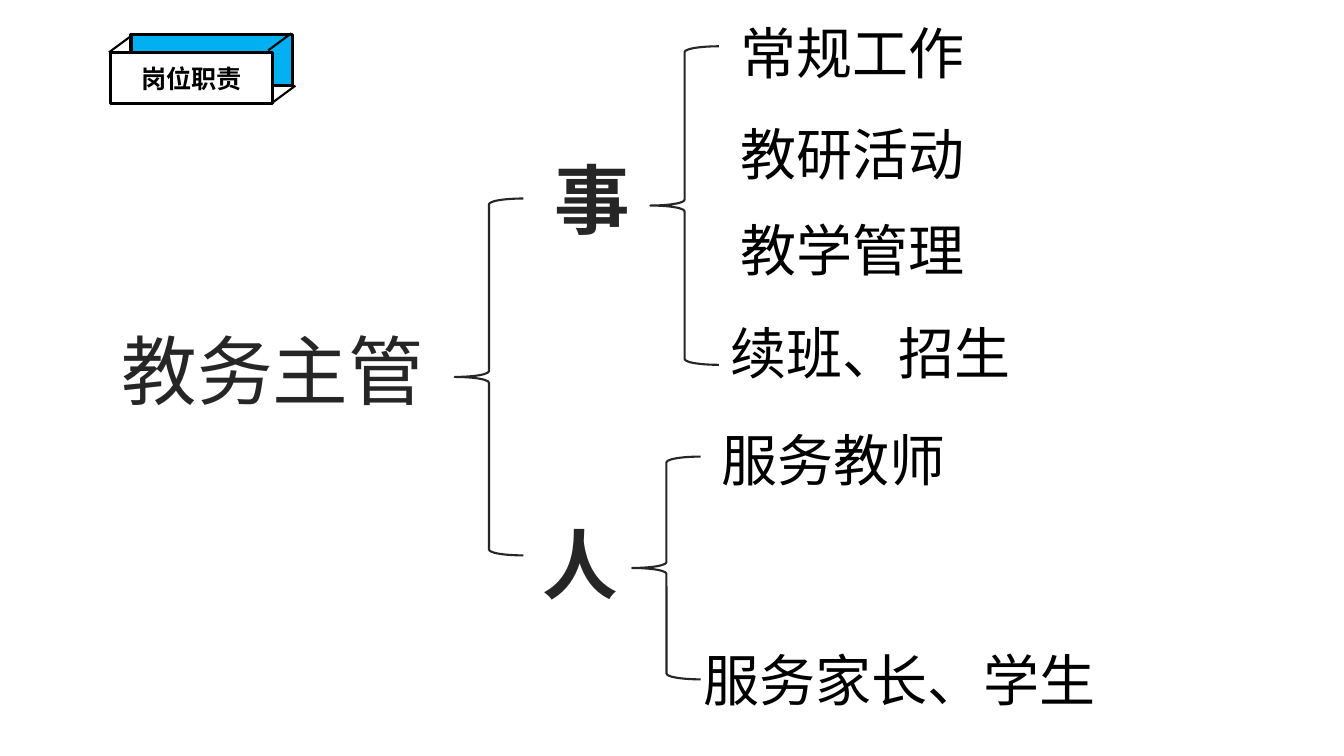
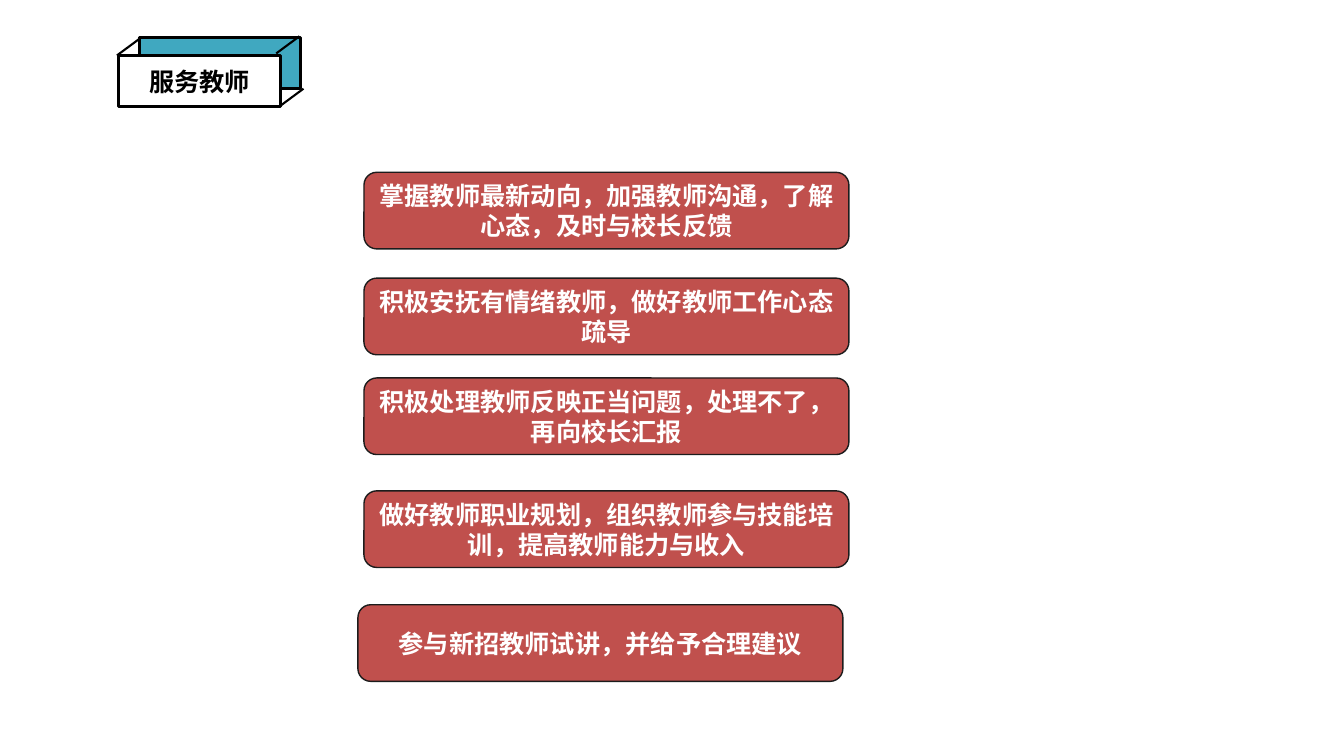
import pptx
import pptx.dml.color
import pptx.enum.shapes
import pptx.enum.text
import pptx.oxml
import pptx.oxml.ns
import pptx.util
from lxml import etree
from pptx.util import Inches

RGB = pptx.dml.color.RGBColor.from_string
SHAPE = pptx.enum.shapes.MSO_SHAPE
NAMESPACE = pptx.oxml.ns.nsdecls("a")


class Theme:
    black, white, ink = "000000", "FFFFFF", "262626"
    tag_blue, tag_teal = "00B0F0", "40A8C0"
    card, card_edge = "C0504D", "1C1C1C"
    ink_gradient = [(0, "131313"), (50, "262626"), (100, "7D7D7D")]
    heading_font, body_font = "Calibri", "Noto Sans CJK SC"
    large, medium, small = 54, 40, 18


def write_text(box, text, size, color=Theme.black, font=Theme.heading_font,
               bold=False, outline=None, gradient=None, wrap=False):
    """Fill a box with one centred line of formatted text and return it."""
    frame = box.text_frame
    frame.word_wrap = wrap
    para = frame.paragraphs[0]
    para.alignment = pptx.enum.text.PP_ALIGN.CENTER
    span = para.add_run()
    span.text = text
    span.font.size = pptx.util.Pt(size)
    span.font.bold = bold
    if gradient:
        span.font.fill.gradient()
        span.font.fill.gradient_angle = 270
        stops = span.font._element.find(".//" + pptx.oxml.ns.qn("a:gsLst"))
        stops[:] = [pptx.oxml.parse_xml(
            f'<a:gs {NAMESPACE} pos="{percent * 1000}"><a:srgbClr val="{shade}"/></a:gs>')
            for percent, shade in gradient]
    else:
        span.font.color.rgb = RGB(color)
    span.font.name = font
    properties = span.font._element
    etree.SubElement(properties, pptx.oxml.ns.qn("a:ea"), typeface=Theme.body_font)
    if outline:
        properties.insert(0, pptx.oxml.parse_xml(
            f'<a:ln {NAMESPACE} w="9525"><a:solidFill><a:srgbClr val="{outline}"/>'
            '</a:solidFill></a:ln>'))
    return box


def add_block(shapes, kind, area, fill, edge, weight):
    """Add a preset shape with a flat fill (or none) and an outline."""
    block = shapes.add_shape(kind, *map(Inches, area))
    block.shadow.inherit = False
    if fill:
        block.fill.solid()
        block.fill.fore_color.rgb = RGB(fill)
    else:
        block.fill.background()
    block.line.color.rgb = RGB(edge)
    block.line.width = pptx.util.Pt(weight)
    block.text_frame.vertical_anchor = pptx.enum.text.MSO_ANCHOR.MIDDLE
    return block


deck = pptx.Presentation()
deck.slide_width, deck.slide_height = Inches(13.33), Inches(7.5)

# Pages, each with a box-shaped title tag
pages = []
for title, left, top, side_color in [("岗位职责", 1.1, 0.52, Theme.tag_blue),
                                     ("服务教师", 1.18, 0.55, Theme.tag_teal)]:
    page = deck.slides.add_slide(deck.slide_layouts[6])
    pages.append(page)
    tag = page.shapes.add_group_shape().shapes
    add_block(tag, SHAPE.RECTANGLE, (left + 0.2, top - 0.18, 1.6, 0.51),
              side_color, Theme.black, 2.25)
    front = add_block(tag, SHAPE.RECTANGLE, (left, top, 1.6, 0.51),
                      Theme.white, Theme.black, 2.25)
    write_text(front, title, Theme.small, font=Theme.body_font, bold=True, wrap=True)
    for across, down in [(-0.02, 0), (1.56, -0.02), (1.6, 0.5)]:
        x, y = left + across, top + down
        edge = tag.add_connector(pptx.enum.shapes.MSO_CONNECTOR.STRAIGHT,
                                 Inches(x + 0.23), Inches(y - 0.17), Inches(x), Inches(y))
        edge.line.color.rgb = RGB(Theme.black)
        edge.line.width = pptx.util.Pt(1.5)
        etree.SubElement(edge._element.spPr, pptx.oxml.ns.qn("a:effectLst"))

duties_page, teachers_page = pages

# Duty tree: braces
for left, top, height in [(4.51, 1.97, 3.54), (6.45, 0.46, 3.16), (6.27, 4.53, 2.21)]:
    add_block(duties_page.shapes, SHAPE.LEFT_BRACE, (left, top, 0.68, height),
              None, Theme.ink, 1.5)

# Duty tree: root, branches and leaves
root = dict(size=Theme.large, gradient=Theme.ink_gradient)
branch = dict(size=Theme.large, color=Theme.ink, bold=True, outline=Theme.white)
leaf = dict(size=Theme.medium)
for text, left, top, width, style in [
    ("教务主管", 1.09, 3.16, 3.23, root),
    ("事", 5.39, 1.47, 0.96, branch),
    ("人", 5.28, 5.09, 0.96, branch),
    ("常规工作", 7.23, 0.13, 2.45, leaf),
    ("教研活动", 7.23, 1.14, 2.45, leaf),
    ("教学管理", 7.23, 2.09, 2.45, leaf),
    ("续班、招生", 7.13, 3.11, 3.01, leaf),
    ("服务教师", 7.04, 4.17, 2.45, leaf),
    ("服务家长、学生", 6.86, 6.36, 4.13, leaf),
]:
    height = 0.77 if style is leaf else 1.01
    box = duties_page.shapes.add_textbox(*map(Inches, (left, top, width, height)))
    write_text(box, text, **style)
    box.text_frame.auto_size = pptx.enum.text.MSO_AUTO_SIZE.SHAPE_TO_FIT_TEXT

# Cards on serving teachers
for text, left, top in [
    ("掌握教师最新动向，加强教师沟通，了解心态，及时与校长反馈", 3.61, 1.71),
    ("积极安抚有情绪教师，做好教师工作心态疏导", 3.61, 2.76),
    ("积极处理教师反映正当问题，处理不了，再向校长汇报", 3.61, 3.75),
    ("做好教师职业规划，组织教师参与技能培训，提高教师能力与收入", 3.61, 4.87),
    ("参与新招教师试讲，并给予合理建议", 3.55, 6),
]:
    card = add_block(teachers_page.shapes, SHAPE.ROUNDED_RECTANGLE, (left, top, 4.81, 0.76),
                     Theme.card, Theme.card_edge, 1)
    write_text(card, text, Theme.small, color=Theme.white, font=Theme.body_font,
               bold=True, wrap=True)

deck.save("out.pptx")
